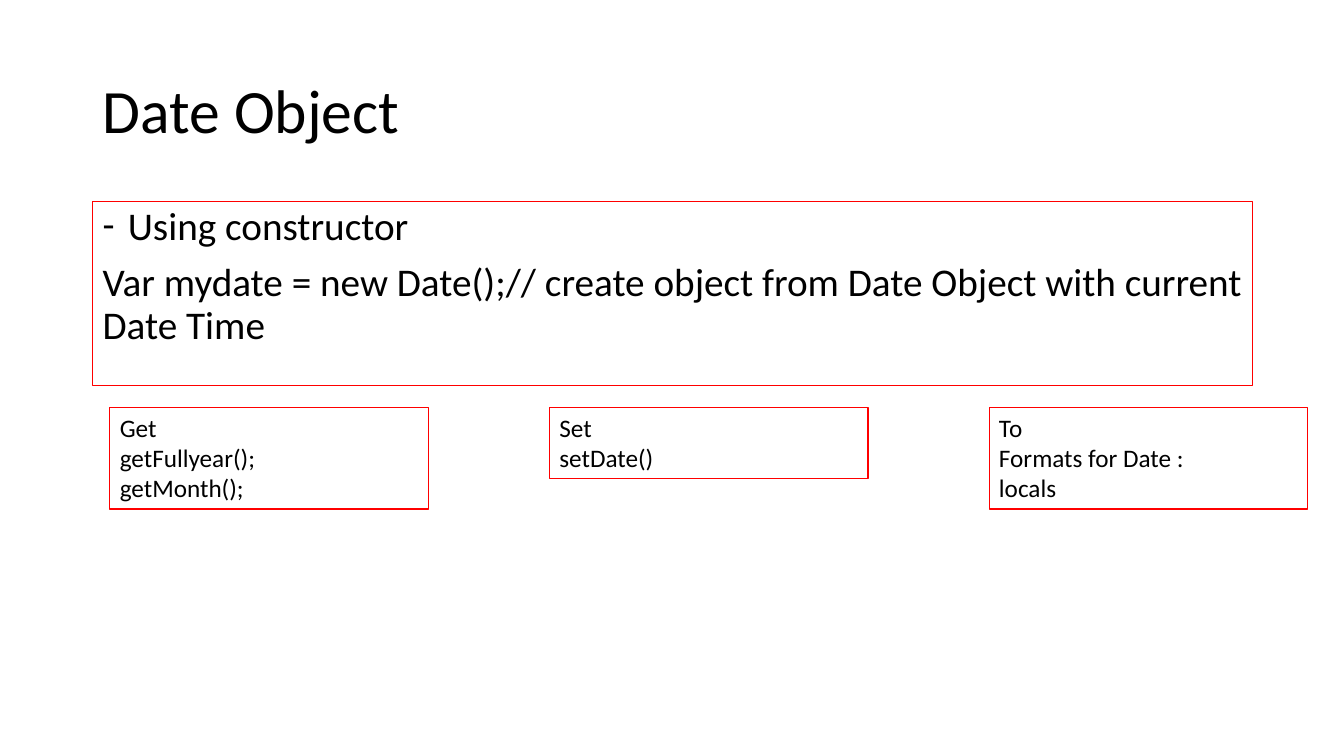
from pptx import Presentation
from pptx.dml.color import RGBColor
from pptx.enum.text import MSO_ANCHOR as Anchor, MSO_AUTO_SIZE as Fit
from pptx.util import Inches, Pt
from lxml.etree import SubElement

BLACK = RGBColor(0, 0, 0)
RED = RGBColor(255, 0, 0)
FONT = "Calibri"

deck = Presentation()
deck.slide_width, deck.slide_height = Inches(13.33), Inches(7.5)
slide = deck.slides.add_slide(deck.slide_layouts[6])


def write(text, left, top, width, height, size=18, line=None,
          anchor=Anchor.TOP, fit=Fit.NONE, lead=None, gap=0):
    """Add a text box with one paragraph per line of text."""
    box = slide.shapes.add_textbox(
        Inches(left), Inches(top), Inches(width), Inches(height))
    if line is not None:
        box.line.color.rgb = line
        box.line.width = Pt(0.75)
    frame = box.text_frame
    frame.word_wrap = True
    frame.auto_size = fit
    frame.vertical_anchor = anchor
    frame.text = text
    for para in frame.paragraphs:
        para.line_spacing = lead
        para.space_before = Pt(gap)
        font = para.runs[0].font
        font.name, font.size, font.color.rgb = FONT, Pt(size), BLACK
    return frame


# Title
MARGIN, WIDE = 0.92, 11.5
write("Date Object", MARGIN, 0.4, WIDE, 1.45, size=44,
      anchor=Anchor.MIDDLE, lead=0.9)

# Constructor panel, with a dash before its first line
body = write(
    "Using constructor\n"
    "Var mydate = new Date();// create object from Date Object "
    "with current Date Time",
    MARGIN, 2, WIDE, 1.83, size=28, line=RED, lead=0.9, gap=10)
props = body.paragraphs[0]._p.get_or_add_pPr()
props.set("marL", str(Inches(0.25)))
props.set("indent", str(-Inches(0.25)))
space = props.nsmap["a"]
SubElement(props, f"{{{space}}}buFont", typeface=FONT)
SubElement(props, f"{{{space}}}buChar", char="-")

# Row of method groups
LEFT, TOP, STEP, WIDTH = 1.09, 4.04, 4.36, 3.16
PAD, ROW = 0.11, 0.3
groups = [
    "Get\ngetFullyear();\ngetMonth();",
    "Set\nsetDate()",
    "To\nFormats for Date :\nlocals",
]
for col, text in enumerate(groups):
    rows = len(text.splitlines())
    write(text, LEFT + col * STEP, TOP, WIDTH, PAD + rows * ROW,
          line=RED, fit=Fit.SHAPE_TO_FIT_TEXT)

deck.save("out.pptx")
